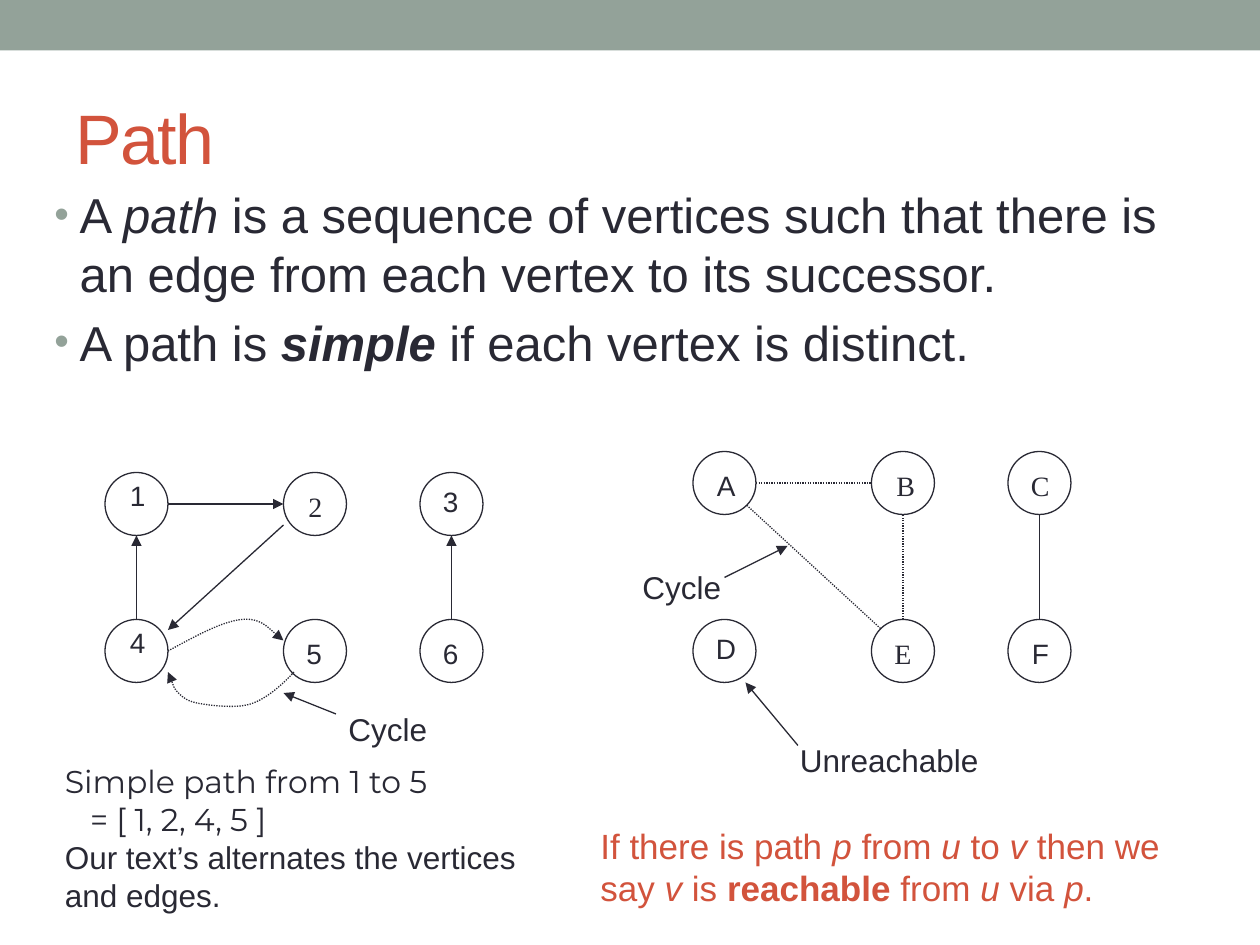
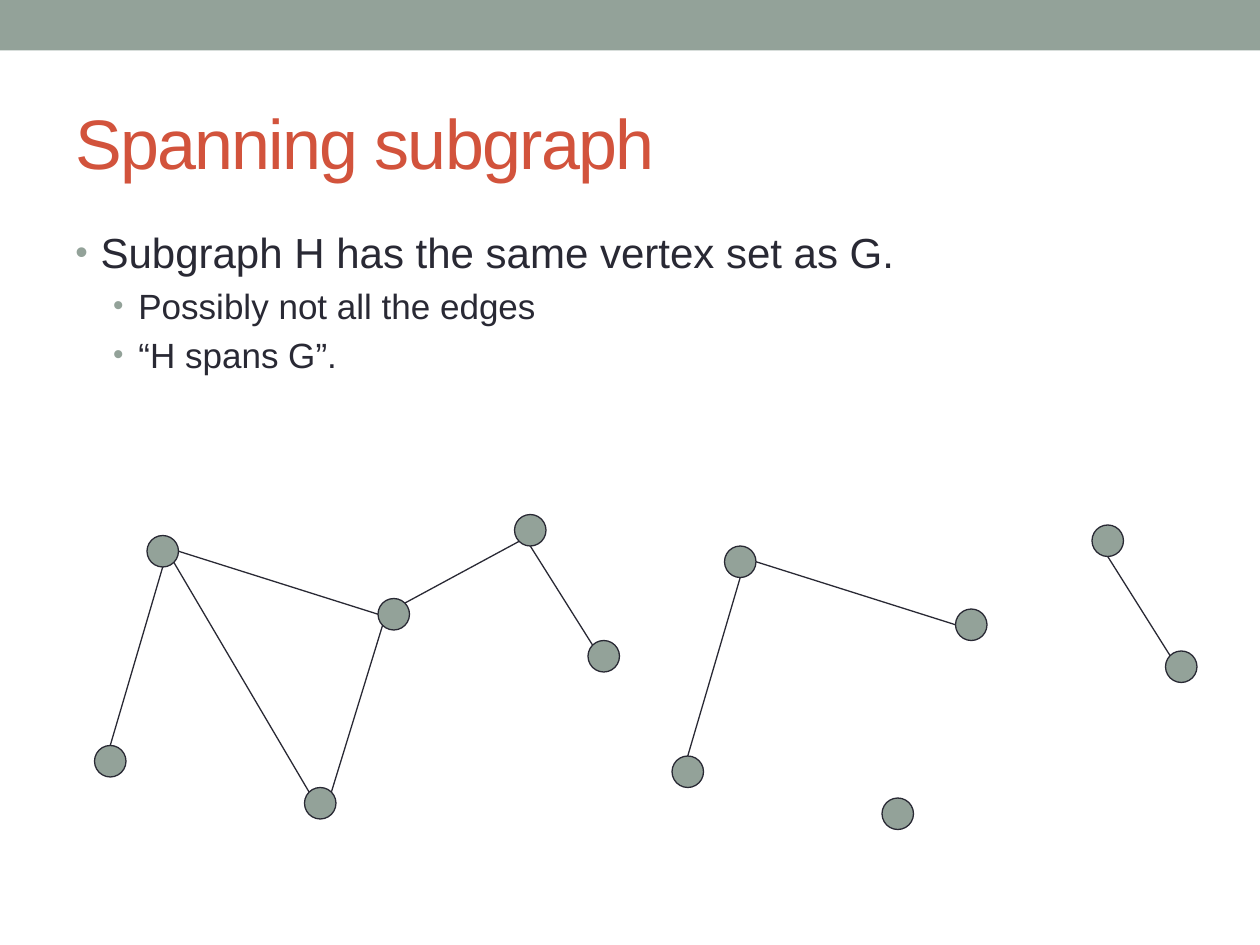
from dataclasses import dataclass
from typing import NamedTuple

from lxml import etree
from pptx import Presentation
from pptx.dml.color import RGBColor
from pptx.enum.dml import MSO_LINE
from pptx.enum.shapes import MSO_CONNECTOR, MSO_SHAPE
from pptx.enum.text import MSO_ANCHOR
from pptx.oxml.ns import qn
from pptx.util import Inches, Pt

STRAIGHT = MSO_CONNECTOR.STRAIGHT
OVAL, RECTANGLE = MSO_SHAPE.OVAL, MSO_SHAPE.RECTANGLE
MIDDLE, TOP = MSO_ANCHOR.MIDDLE, MSO_ANCHOR.TOP
DOTTED = MSO_LINE.ROUND_DOT

SAGE, INK, BRICK = "93A299", "292934", "D2533C"
SANS, SERIF, ROUNDED = "Arial", "Times New Roman", "Montserrat"

# The slide is a grid of 120 columns by 90 rows, 12 to the inch
COLUMNS, ROWS, PER_INCH = 120, 90, 12

# Unit vectors from a vertex's centre to its rim
DIAGONAL = 0.5 ** 0.5
COMPASS = {
    "N": (0, -1), "S": (0, 1), "W": (-1, 0), "E": (1, 0),
    "NW": (-DIAGONAL, -DIAGONAL), "NE": (DIAGONAL, -DIAGONAL),
    "SW": (-DIAGONAL, DIAGONAL), "SE": (DIAGONAL, DIAGONAL),
}

Point = tuple[float, float]


class Span(NamedTuple):
    text: str
    bold: bool = False
    italic: bool = False


@dataclass
class Para:
    spans: list[Span]
    size: float
    font: str = SANS
    color: str = INK
    indent: float = 0
    bullet: bool = False
    before: float = 0
    tracking: int = 0


@dataclass
class Vertex:
    column: float
    row: float
    size: float
    label: str = ""
    shift: Point = (1, 1)
    font: str = SANS

    def rim(self, side: str) -> Point:
        radius = self.size / 2
        across, down = COMPASS[side]
        return (self.column + radius * (1 + across),
                self.row + radius * (1 + down))


class Edge(NamedTuple):
    start: str
    start_side: str
    end: str
    end_side: str
    arrow: bool = False
    dotted: bool = False


def grid(cells: float) -> int:
    return Inches(cells / PER_INCH)


def rgb(color: str) -> RGBColor:
    return RGBColor.from_string(color)


def plain(text: str) -> list[Span]:
    return [Span(text)]


def style_line(shape, arrow: bool = False, dotted: bool = False) -> None:
    shape.line.color.rgb = rgb(INK)
    shape.line.width = Pt(0.75)
    if dotted:
        shape.line.dash_style = DOTTED
    if arrow:
        etree.SubElement(shape.line._get_or_add_ln(), qn("a:tailEnd"), type="triangle")


def add_bullet(para) -> None:
    properties = para._p.get_or_add_pPr()
    color = etree.SubElement(properties, qn("a:buClr"))
    etree.SubElement(color, qn("a:srgbClr"), val=SAGE)
    etree.SubElement(properties, qn("a:buSzPct"), val="85000")
    etree.SubElement(properties, qn("a:buFont"), typeface=SANS)
    etree.SubElement(properties, qn("a:buChar"), char="•")


def add_text(page, at: tuple, paras: list[Para], anchor=TOP, wrap: bool = True) -> None:
    box = page.shapes.add_textbox(*map(grid, at))
    frame = box.text_frame
    frame.word_wrap = wrap
    frame.vertical_anchor = anchor
    for index, item in enumerate(paras):
        para = frame.add_paragraph() if index else frame.paragraphs[0]
        properties = para._p.get_or_add_pPr()
        properties.set("marL", str(Inches(item.indent)))
        if item.bullet:
            properties.set("indent", str(Inches(-0.2)))
            add_bullet(para)
        if item.before:
            para.space_before = Pt(item.before)
        para.font.size = Pt(item.size)
        para.font.name = item.font
        para.font.color.rgb = rgb(item.color)
        for span in item.spans:
            run = para.add_run()
            run.text = span.text
            if span.bold:
                run.font.bold = True
            if span.italic:
                run.font.italic = True
            if item.tracking:
                run._r.get_or_add_rPr().set("spc", str(item.tracking))


def add_caption(page, column: float, row: float, width: float, text: str) -> None:
    add_text(page, (column, row, width, 4.8), [Para(plain(text), 18)], wrap=False)


def add_line(page, start: Point, end: Point, arrow: bool = False,
             dotted: bool = False) -> None:
    line = page.shapes.add_connector(STRAIGHT, *map(grid, start + end))
    etree.SubElement(line._element.spPr, qn("a:effectLst"))
    style_line(line, arrow, dotted)


def add_curve(page, points: list[Point]) -> None:
    """Draw a dotted arrow through a start point and triples of Bézier points."""
    places = [(grid(column), grid(row)) for column, row in points]
    builder = page.shapes.build_freeform(*places[0], scale=1.0)
    builder.add_line_segments(places[1:], close=False)
    curve = builder.convert_to_shape()
    curve.shadow.inherit = False
    curve.fill.background()
    style_line(curve, arrow=True, dotted=True)
    # Turn every three straight segments into one cubic segment
    outline = next(curve._element.iter(qn("a:path")))
    segments = outline.findall(qn("a:lnTo"))
    for first in range(0, len(segments), 3):
        cubic = etree.SubElement(outline, qn("a:cubicBezTo"))
        for segment in segments[first:first + 3]:
            cubic.append(segment[0])
            outline.remove(segment)


def add_graph(page, vertices: dict[str, Vertex], edges: list[Edge],
              fill: str = "") -> None:
    for vertex in vertices.values():
        circle = page.shapes.add_shape(
            OVAL, *map(grid, (vertex.column, vertex.row, vertex.size, vertex.size)))
        circle.shadow.inherit = False
        style_line(circle)
        if fill:
            circle.fill.solid()
            circle.fill.fore_color.rgb = rgb(fill)
        else:
            circle.fill.background()
        if vertex.label:
            across, down = vertex.shift
            add_text(page, (vertex.column + across, vertex.row + down, 3.8, 4.4),
                     [Para(plain(vertex.label), 16, vertex.font)], wrap=False)
    for edge in edges:
        add_line(page, vertices[edge.start].rim(edge.start_side),
                 vertices[edge.end].rim(edge.end_side), edge.arrow, edge.dotted)


def add_page(deck, title: str, title_at: tuple):
    page = deck.slides.add_slide(deck.slide_layouts[6])
    band = page.shapes.add_shape(RECTANGLE, 0, 0, grid(COLUMNS), Inches(0.4))
    band.shadow.inherit = False
    band.fill.solid()
    band.fill.fore_color.rgb = rgb(SAGE)
    band.line.fill.background()
    add_text(page, title_at, [Para(plain(title), 40, color=BRICK, tracking=-100)], MIDDLE)
    return page


def build_path_page(deck) -> None:
    page = add_page(deck, "Path", (6, 5, 110, 16))
    add_text(page, (4, 17, 108, 27), [
        Para([Span("A "), Span("path", italic=True),
              Span(" is a sequence of vertices such that there is an edge "
                   "from each vertex to its successor.")],
             28, indent=0.2, bullet=True),
        Para([Span("A path is "), Span("simple", True, True),
              Span(" if each vertex is distinct.")],
             28, indent=0.2, bullet=True, before=5.6),
    ])

    # Directed graph
    directed = [
        Vertex(10, 45, 6, "1", (1.2, 0)), Vertex(27, 45, 6, "2", (1.2, 1), SERIF),
        Vertex(40, 45, 6, "3", (1, 0.6)), Vertex(10, 59, 6, "4", (1.2, 0)),
        Vertex(27, 59, 6, "5"), Vertex(40, 59, 6, "6"),
    ]
    add_graph(page, {vertex.label: vertex for vertex in directed}, [
        Edge("4", "N", "1", "S", arrow=True),
        Edge("1", "E", "2", "W", arrow=True),
        Edge("6", "N", "3", "S", arrow=True),
    ])
    add_line(page, (27, 50), (16, 60), arrow=True)
    add_curve(page, [(16, 62), (18.6, 60.6), (21.1, 59.2), (23, 59),
                     (24.8, 58.8), (26.3, 60.5), (27, 61)])
    add_curve(page, [(28, 64), (26.8, 65.3), (25.4, 66.5), (24, 67),
                     (22.6, 67.5), (20.2, 67.2), (19, 67),
                     (17.9, 66.8), (17.5, 66.5), (17, 66),
                     (16.5, 65.5), (16.2, 64.3), (16, 64)])
    add_line(page, (32, 68), (27, 66), arrow=True)
    add_caption(page, 32, 67, 10, "Cycle")
    add_text(page, (5, 72, 45.4, 15.6), [
        Para(plain("Simple path from 1 to 5"), 18, ROUNDED),
        Para(plain("= [ 1, 2, 4, 5 ]"), 18, ROUNDED, indent=0.2),
        Para(plain("Our text’s alternates the vertices"), 18),
        Para(plain("and edges."), 18),
    ], wrap=False)

    # Undirected graph
    undirected = [
        Vertex(66, 43, 6, "A", (1.1, 1)), Vertex(83, 43, 6, "B", (1.2, 1), SERIF),
        Vertex(96, 43, 6, "C", font=SERIF), Vertex(66, 59, 6, "D", (1, 0.6)),
        Vertex(83, 59, 6, "E", font=SERIF), Vertex(96, 59, 6, "F", (1.1, 1)),
    ]
    add_graph(page, {vertex.label: vertex for vertex in undirected}, [
        Edge("A", "SE", "E", "NW", dotted=True),
        Edge("A", "E", "B", "W", dotted=True),
        Edge("E", "N", "B", "S", dotted=True),
        Edge("F", "N", "C", "S"),
    ])
    add_line(page, (76, 71), (71, 65), arrow=True)
    add_caption(page, 75, 70, 19.4, "Unreachable")
    add_line(page, (69, 55), (75, 52), arrow=True)
    add_caption(page, 60, 53.5, 10, "Cycle")
    add_text(page, (56, 79, 57, 7), [Para([
        Span("If there is path "), Span("p", italic=True), Span(" from "),
        Span("u", italic=True), Span(" to "), Span("v", italic=True),
        Span(" then we say "), Span("v", italic=True), Span(" is "),
        Span("reachable", bold=True), Span(" from "), Span("u", italic=True),
        Span(" via "), Span("p", italic=True), Span("."),
    ], 20, color=BRICK)], MIDDLE)


def build_spanning_page(deck) -> None:
    page = add_page(deck, "Spanning subgraph", (6, 7, 108, 13))
    add_text(page, (6, 21, 108, 64), [
        Para(plain("Subgraph H has the same vertex set as G."), 24,
             indent=0.2, bullet=True),
        Para(plain("Possibly not all the edges"), 20, indent=0.5, bullet=True, before=4),
        Para(plain("“H spans G”."), 20, indent=0.5, bullet=True, before=4),
    ])

    # Graph G, then its subgraph H on the same vertices
    places = {"a": (9, 71), "b": (14, 51), "c": (29, 75),
              "d": (36, 57), "e": (49, 49), "f": (56, 61)}
    kept = [Edge("b", "S", "a", "N"), Edge("b", "E", "d", "W"), Edge("e", "S", "f", "NW")]
    dropped = [Edge("c", "NE", "d", "SW"), Edge("d", "NE", "e", "SW"),
               Edge("b", "SE", "c", "NW")]
    for across, down, edges in ((0, 0, kept + dropped), (55, 1, kept)):
        vertices = {name: Vertex(column + across, row + down, 3)
                    for name, (column, row) in places.items()}
        add_graph(page, vertices, edges, SAGE)


def main() -> None:
    deck = Presentation()
    deck.slide_width, deck.slide_height = grid(COLUMNS), grid(ROWS)
    build_path_page(deck)
    build_spanning_page(deck)
    deck.save("out.pptx")


if __name__ == "__main__":
    main()
